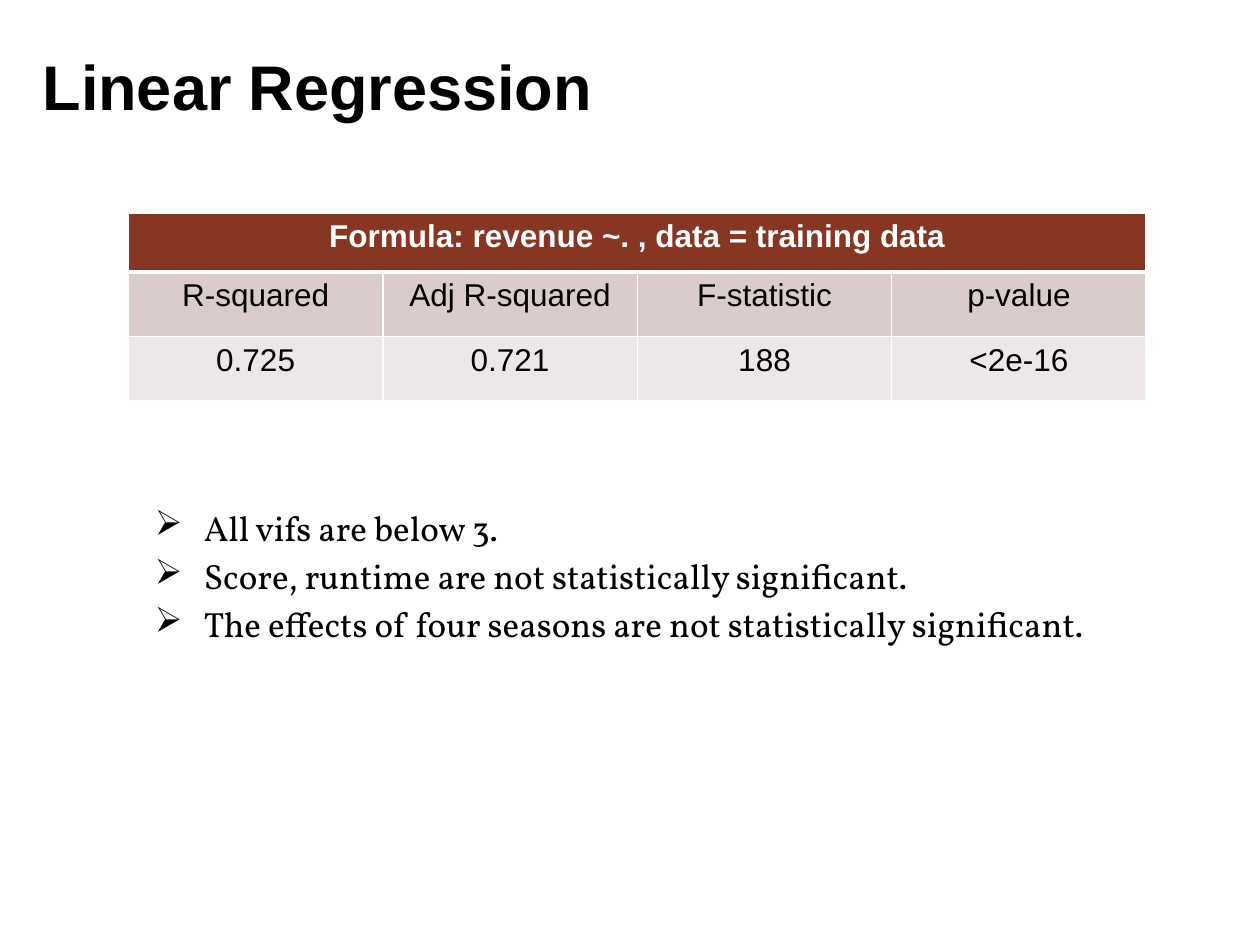
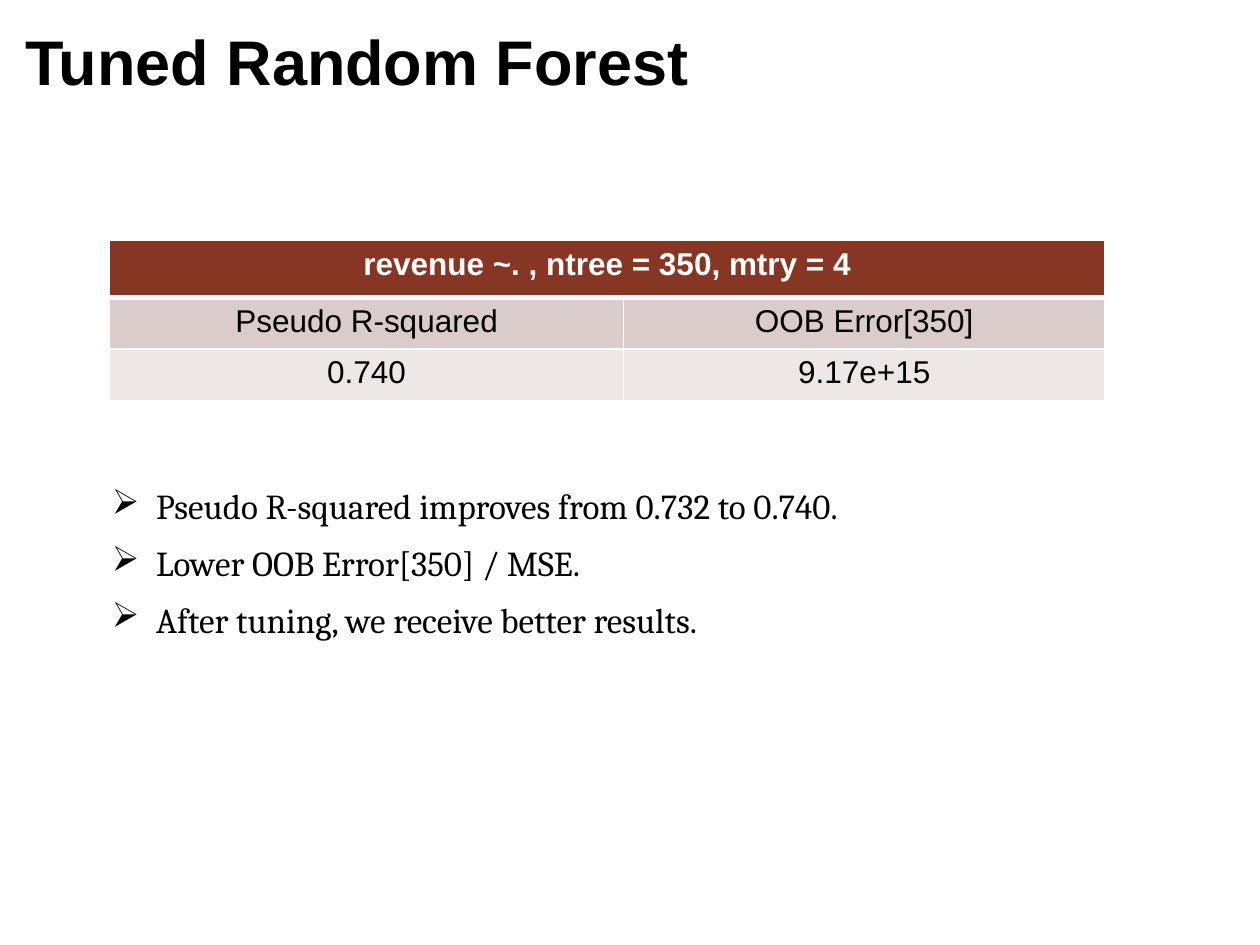
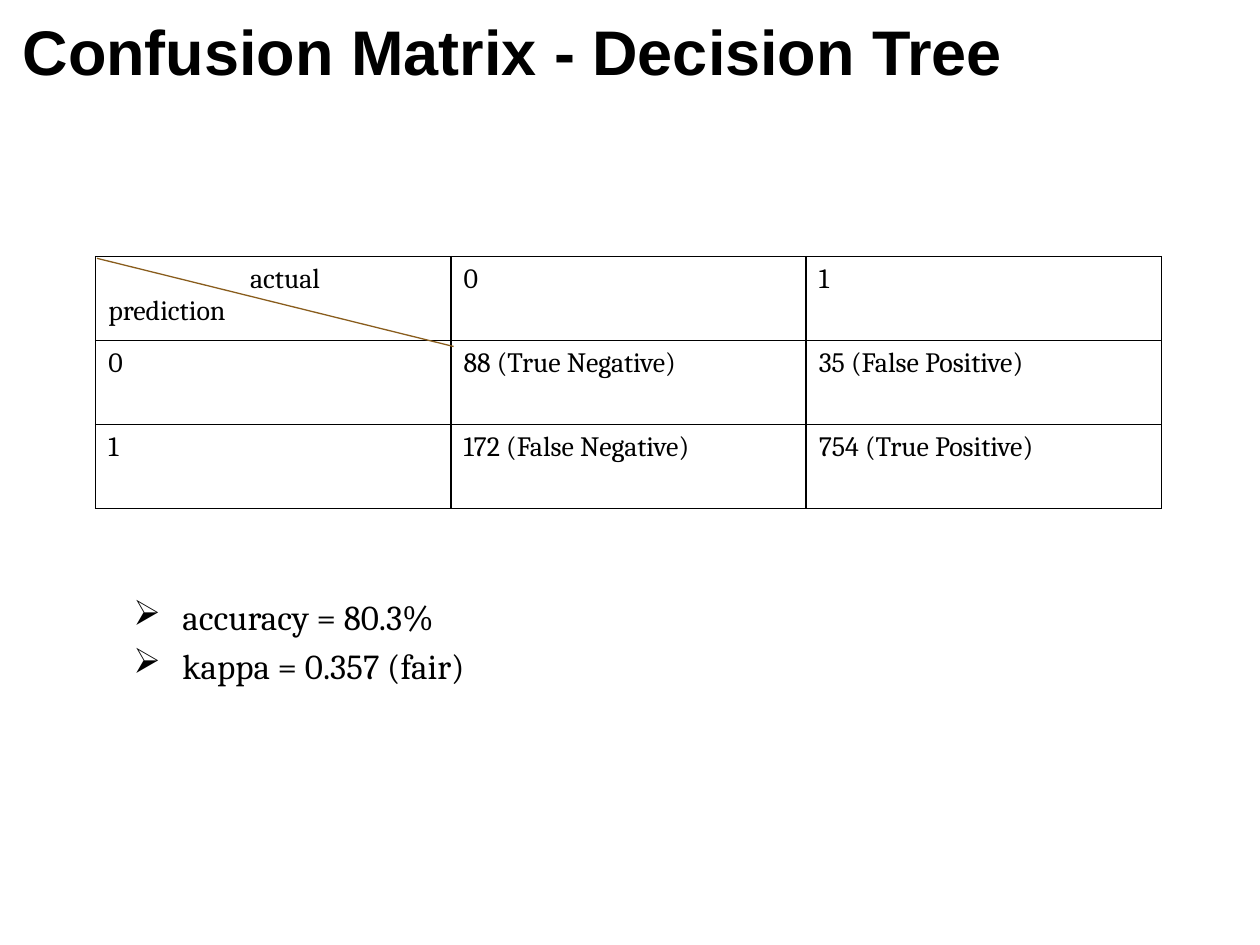
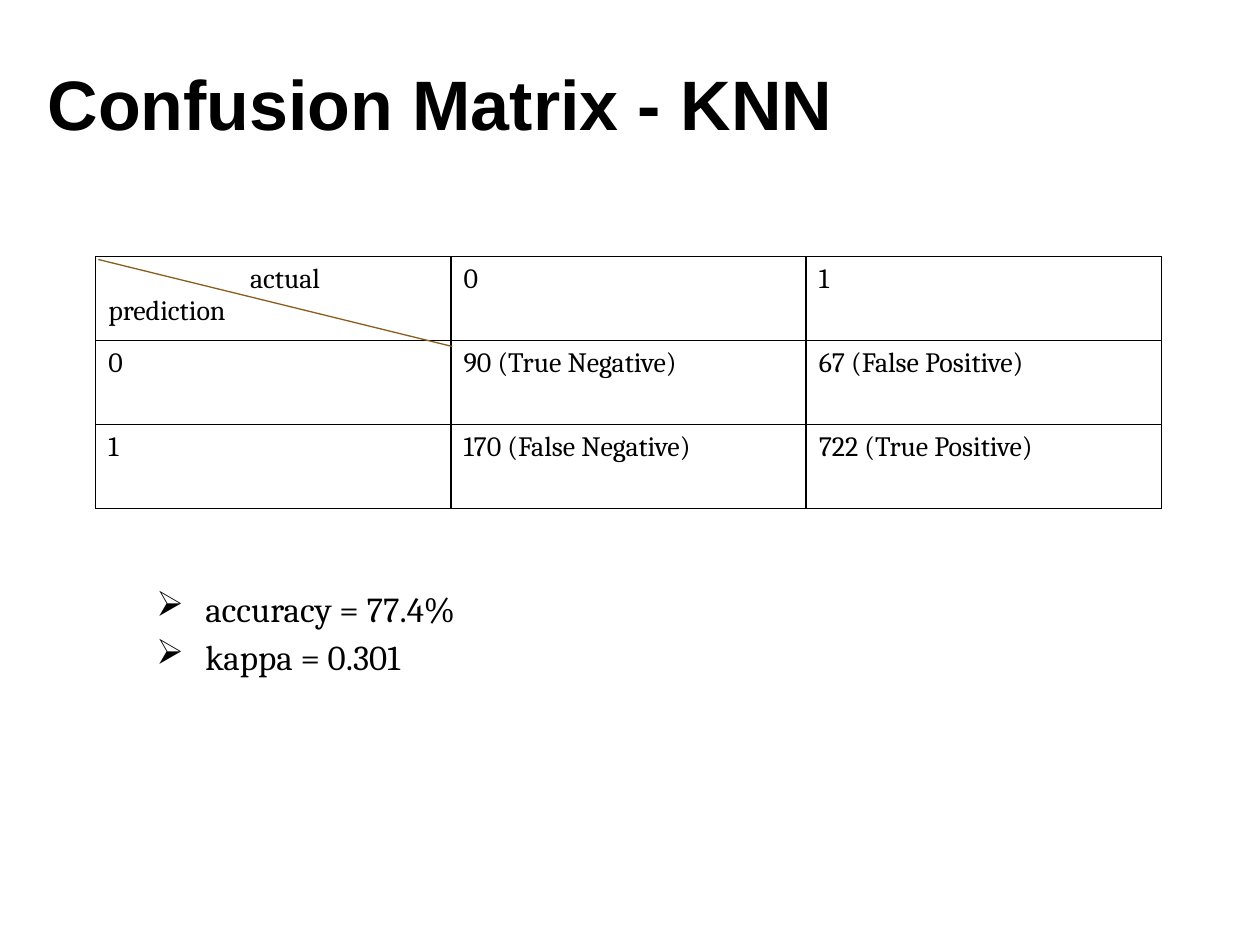
from lxml import etree
from pptx import Presentation
from pptx.dml.color import RGBColor
from pptx.enum.shapes import MSO_CONNECTOR
from pptx.enum.text import PP_ALIGN
from pptx.oxml.ns import qn
from pptx.util import Pt

LEFT, MID = PP_ALIGN.LEFT, PP_ALIGN.CENTER
STRAIGHT = MSO_CONNECTOR.STRAIGHT


class Theme:
    black, white = "000000", "FFFFFF"
    head, band, pale = "873624", "D9CCCB", "EDE7E7"
    slash = "895D1D"
    sans, serif, book = "Arial", "Cambria", "Vollkorn"
    title, big, body, stat, grid = 36, 40, 20, 18, 16


def write(par, text, face, size, tint=Theme.black, bold=False):
    par.text = text
    font = par.font
    font.name, font.size, font.bold = face, Pt(size), bold
    font.color.rgb = RGBColor.from_string(tint)


def frame(slide, box, top):
    text = slide.shapes.add_textbox(*map(Pt, box)).text_frame
    text.word_wrap = True
    text.margin_left = text.margin_right = Pt(7.2)
    text.margin_top = text.margin_bottom = Pt(top)
    return text


def matrix(tn, fp, fn, tp):
    return [["actual\nprediction", "0", "1"],
            ["0", f"{tn} (True Negative)", f"{fp} (False Positive)"],
            ["1", f"{fn} (False Negative)", f"{tp} (True Positive)"]]


# Slide contents; boxes are left, top, width, height in points
pages = [
    dict(title="Linear Regression", box=(17.3, 20.2, 610.6, 63.4), size=Theme.title,
         spot=(73.4, 121.7), cols=[145.4] * 4, rows=[33.8, 36.7, 36.7],
         cells=[["Formula: revenue ~. , data = training data"],
                ["R-squared", "Adj R-squared", "F-statistic", "p-value"],
                ["0.725", "0.721", "188", "<2e-16"]],
         notes=["All vifs are below 3.",
                "Score, runtime are not statistically significant.",
                "The effects of four seasons are not statistically significant."],
         area=(73.4, 282.2, 573.1, 131), face=Theme.book),
    dict(title="Tuned Random Forest", box=(7.2, 5.8, 610.6, 67), size=Theme.title,
         spot=(62.6, 137.5), cols=[293.8, 275], rows=[32.4, 29.5, 29.5],
         cells=[["revenue ~. , ntree = 350, mtry = 4"],
                ["Pseudo R-squared", "OOB Error[350]"],
                ["0.740", "9.17e+15"]],
         notes=["Pseudo R-squared improves from 0.732 to 0.740.",
                "Lower OOB Error[350] / MSE.",
                "After tuning, we receive better results."],
         area=(54.7, 270, 609.8, 117.4), indent=(27.4, -25.2), gap=4.8),
    dict(title="Confusion Matrix - Decision Tree", box=(5.8, 0, 610.6, 50.4),
         size=Theme.title, cells=matrix(88, 35, 172, 754),
         slash=(55.4, 147.6, 259.2, 198),
         notes=["accuracy = 80.3%", "kappa = 0.357 (fair)"],
         area=(61.2, 333.4, 597.6, 58.3)),
    dict(title="Confusion Matrix - KNN", box=(20.2, 27.4, 610.6, 57.6),
         size=Theme.big, cells=matrix(90, 67, 170, 722),
         slash=(56.2, 148.3, 258.5, 198),
         notes=["accuracy = 77.4%", "kappa = 0.301"],
         area=(74.2, 324.7, 591.1, 87.1), inset=7.2),
]

deck = Presentation()
deck.slide_width, deck.slide_height = Pt(720), Pt(540)

for page in pages:
    slide = deck.slides.add_slide(deck.slide_layouts[6])
    plain = "slash" in page

    # Table
    cols = page.get("cols", [203] * 3)
    rows = page.get("rows", [48] * 3)
    spot = page.get("spot", (54.7, 146.7))
    table = slide.shapes.add_table(len(rows), len(cols), *map(
        Pt, (*spot, sum(cols), sum(rows)))).table
    table.first_row = table.horz_banding = False
    for col, wide in zip(table.columns, cols):
        col.width = Pt(wide)
    for row, high in zip(table.rows, rows):
        row.height = Pt(high)
    if not plain:
        table.cell(0, 0).merge(table.cell(0, len(cols) - 1))

    for r, line in enumerate(page["cells"]):
        for c in range(len(cols)):
            cell = table.cell(r, c)

            # Borders, with a thick rule under a filled header
            props = cell._tc.get_or_add_tcPr()
            for side in "LRTB":
                thick = not plain and (r, side) in ((0, "B"), (1, "T"))
                edge = etree.SubElement(props, qn(f"a:ln{side}"),
                                        w=str(Pt(3 if thick else 1)))
                fill = etree.SubElement(edge, qn("a:solidFill"))
                etree.SubElement(fill, qn("a:srgbClr"),
                                 val=Theme.black if plain else Theme.white)

            # Fill
            if plain:
                cell.fill.background()
            else:
                cell.fill.solid()
                cell.fill.fore_color.rgb = RGBColor.from_string(
                    (Theme.head, Theme.band, Theme.pale)[r])

            # Text
            if c >= len(line):
                continue
            for i, text in enumerate(line[c].split("\n")):
                body = cell.text_frame
                par = body.add_paragraph() if i else body.paragraphs[0]
                par.alignment = LEFT if plain else MID
                if text == "actual":
                    par._p.get_or_add_pPr().set("marL", str(Pt(81)))
                if plain:
                    write(par, text, Theme.serif, Theme.grid)
                else:
                    write(par, text, Theme.sans, Theme.stat,
                          Theme.black if r else Theme.white, r == 0)

    # Diagonal across the corner cell
    if plain:
        slash = slide.shapes.add_connector(STRAIGHT, *map(Pt, page["slash"]))
        slash.line.color.rgb = RGBColor.from_string(Theme.slash)
        slash.line.width = Pt(0.75)
        etree.SubElement(slash._element.spPr, qn("a:effectLst"))

    # Bulleted findings
    body = frame(slide, page["area"], page.get("inset", 3.6))
    left, hang = page.get("indent", (36, -28))
    for i, note in enumerate(page["notes"]):
        par = body.add_paragraph() if i else body.paragraphs[0]
        props = par._p.get_or_add_pPr()
        props.set("marL", str(Pt(left)))
        props.set("indent", str(Pt(hang)))
        tint = etree.SubElement(props, qn("a:buClr"))
        etree.SubElement(tint, qn("a:srgbClr"), val=Theme.black)
        etree.SubElement(props, qn("a:buChar"), char="➢")
        par.line_spacing = 1.15
        if i and "gap" in page:
            par.space_before = Pt(page["gap"])
        write(par, note, page.get("face", Theme.serif), Theme.body)

    # Title
    head = frame(slide, page["box"], 7.2)
    write(head.paragraphs[0], page["title"], Theme.sans, page["size"], bold=True)

deck.save("out.pptx")
